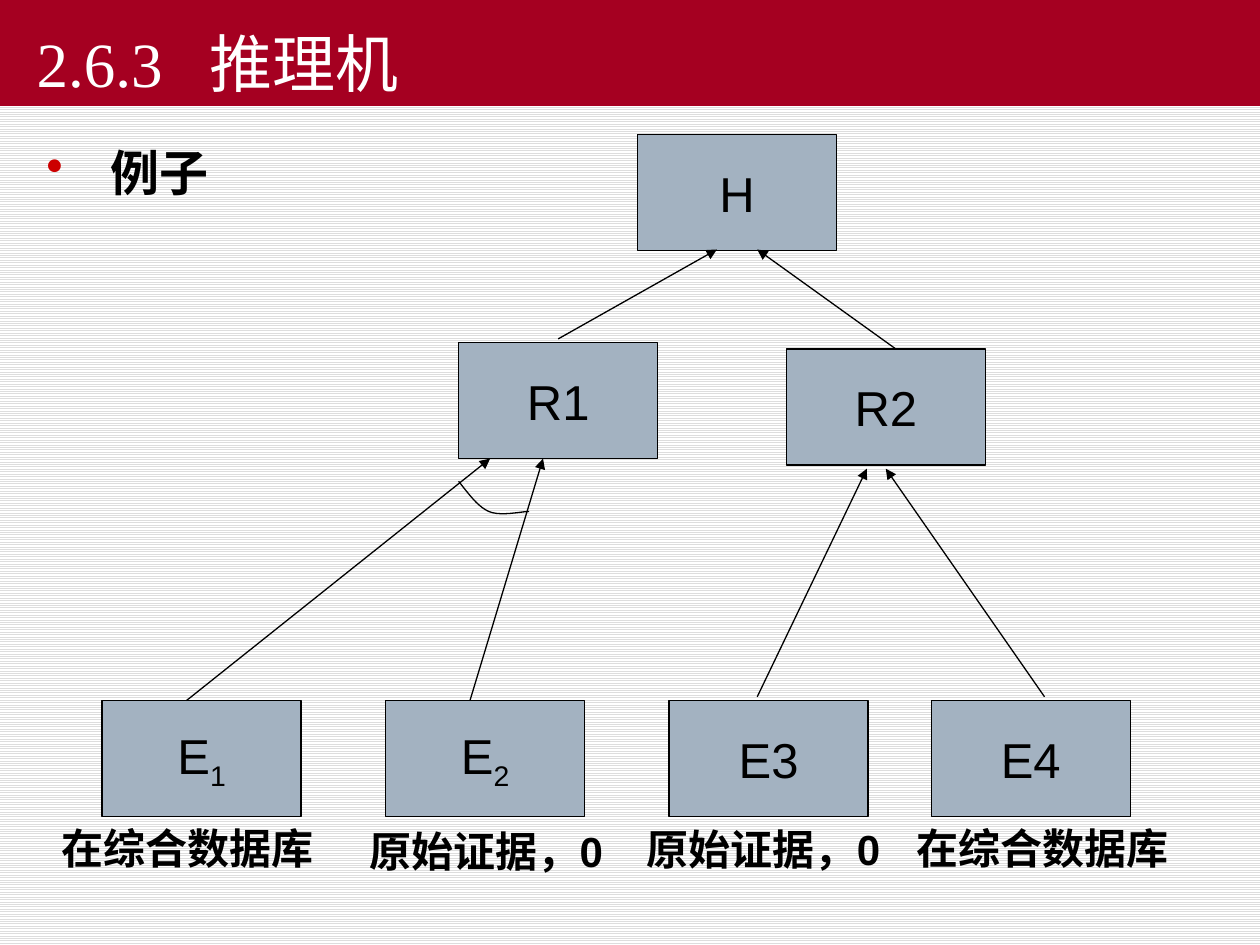
from lxml import etree
from pptx import Presentation
from pptx.dml.color import RGBColor
from pptx.enum.dml import MSO_PATTERN
from pptx.enum.shapes import MSO_CONNECTOR, MSO_SHAPE
from pptx.enum.text import MSO_ANCHOR, PP_ALIGN
from pptx.oxml.ns import qn
from pptx.util import Inches, Pt

RECT = MSO_SHAPE.RECTANGLE
STRAIGHT = MSO_CONNECTOR.STRAIGHT
STRIPES = MSO_PATTERN.LIGHT_HORIZONTAL
LEFT, CENTER = PP_ALIGN.LEFT, PP_ALIGN.CENTER
TOP, MIDDLE, BOTTOM = MSO_ANCHOR.TOP, MSO_ANCHOR.MIDDLE, MSO_ANCHOR.BOTTOM
BLACK = RGBColor(0x00, 0x00, 0x00)
WHITE = RGBColor(0xFF, 0xFF, 0xFF)
GRAY = RGBColor(0xDD, 0xDD, 0xDD)
CRIMSON = RGBColor(0xA5, 0x00, 0x21)
RED = RGBColor(0xCC, 0x00, 0x00)
STEEL = RGBColor(0xA3, 0xB2, 0xC1)

NODE_W, NODE_H = 1.58, 0.92
EVIDENCE_Y = 5.56
NODES = [
    ("H", "", 5.06, 1.07),
    ("R1", "", 3.64, 2.72),
    ("R2", "", 6.24, 2.77),
    ("E", "1", 0.81, EVIDENCE_Y),
    ("E", "2", 3.06, EVIDENCE_Y),
    ("E3", "", 5.31, EVIDENCE_Y),
    ("E4", "", 7.39, EVIDENCE_Y),
]
ARROWS = [
    (4.43, 2.69, 5.69, 1.98),
    (7.11, 2.77, 6.01, 1.98),
    (1.48, 5.56, 3.89, 3.64),
    (3.73, 5.56, 4.31, 3.64),
    (6.01, 5.53, 6.88, 3.72),
    (8.29, 5.53, 7.03, 3.72),
]
CAPTIONS = [
    ("在综合数据库", 0.35, 6.48),
    ("原始证据，0", 2.72, 6.5),
    ("原始证据，0", 4.92, 6.49),
    ("在综合数据库", 7.13, 6.48),
]
AND_ARC = [
    [(3.64, 3.82), (3.72, 3.92), (3.79, 4.02), (3.88, 4.06)],
    [(3.88, 4.06), (3.97, 4.1), (4.14, 4.06), (4.2, 4.06)],
]


def write(s, text, sub="", size=28, font="Arial", color=BLACK, bold=False,
          align=CENTER, anchor=TOP, wrap=True):
    """Write one paragraph with an optional subscript and return it."""
    tf = s.text_frame
    tf.word_wrap = wrap
    tf.vertical_anchor = anchor
    p = tf.paragraphs[0]
    p.alignment = align
    for part in filter(None, (text, sub)):
        r = p.add_run()
        r.text = part
        r.font.size = Pt(size)
        r.font.name = font
        r.font.bold = bold
        r.font.color.rgb = color
    if sub:
        r.font._element.set("baseline", "-25000")
    return p


def add_box(slide, x, y, w, h, fill, line=None):
    """Add a filled rectangle, outlined if a line colour is given."""
    s = slide.shapes.add_shape(RECT, Inches(x), Inches(y), Inches(w), Inches(h))
    s.shadow.inherit = False
    s.fill.solid()
    s.fill.fore_color.rgb = fill
    if line is None:
        s.line.fill.background()
    else:
        s.line.color.rgb = line
        s.line.width = Pt(0.75)
    return s


def add_title(slide, number, name):
    """Add the title band with the section number and name on a tab."""
    s = add_box(slide, 0, 0, 10, 0.84, CRIMSON)
    s.text_frame.margin_left = Inches(0.29)
    p = write(s, f"{number}\t{name}", size=36, font="Times New Roman",
              color=WHITE, align=LEFT, anchor=BOTTOM)
    tabs = etree.SubElement(p._p.get_or_add_pPr(), qn("a:tabLst"))
    etree.SubElement(tabs, qn("a:tab"), pos=str(Inches(1.37)), algn="l")


def add_text(slide, text, x, y, w, h, **fmt):
    """Add a text box and return its paragraph."""
    s = slide.shapes.add_textbox(Inches(x), Inches(y), Inches(w), Inches(h))
    return write(s, text, **fmt)


def add_bullet(p, color, indent):
    """Give a paragraph a coloured round bullet with a hanging indent."""
    pPr = p._p.get_or_add_pPr()
    pPr.set("marL", str(Inches(indent)))
    pPr.set("indent", str(-Inches(indent)))
    clr = etree.SubElement(pPr, qn("a:buClr"))
    etree.SubElement(clr, qn("a:srgbClr"), val=str(color))
    etree.SubElement(pPr, qn("a:buChar"), char="•")


def add_arrow(slide, x1, y1, x2, y2):
    """Add a thin line with a triangle head at its end."""
    s = slide.shapes.add_connector(
        STRAIGHT, Inches(x1), Inches(y1), Inches(x2), Inches(y2))
    s.line.color.rgb = BLACK
    s.line.width = Pt(0.75)
    etree.SubElement(s.line._get_or_add_ln(), qn("a:tailEnd"), type="triangle")
    etree.SubElement(s._element.spPr, qn("a:effectLst"))


def bezier(points, t):
    """Return the point at t on a cubic curve."""
    weights = ((1 - t) ** 3, 3 * t * (1 - t) ** 2, 3 * t * t * (1 - t), t ** 3)
    return tuple(sum(k * v for k, v in zip(weights, axis)) for axis in zip(*points))


def add_curve(slide, curves, steps=10):
    """Add an open outline that follows joined cubic curves."""
    points = [bezier(c, i / steps) for c in curves for i in range(1, steps + 1)]
    x, y = curves[0][0]
    builder = slide.shapes.build_freeform(Inches(x), Inches(y))
    builder.add_line_segments(
        [(Inches(px), Inches(py)) for px, py in points], close=False)
    s = builder.convert_to_shape()
    s.shadow.inherit = False
    s.fill.background()
    s.line.color.rgb = BLACK
    s.line.width = Pt(0.75)


def main():
    """Build the inference tree slide and save it."""
    prs = Presentation()
    prs.slide_width, prs.slide_height = Inches(10), Inches(7.5)
    slide = prs.slides.add_slide(prs.slide_layouts[6])
    bg = slide.background.fill
    bg.patterned()
    bg.pattern = STRIPES
    bg.fore_color.rgb = GRAY
    bg.back_color.rgb = WHITE

    p = add_text(slide, "例子", 0.27, 0.99, 9.45, 5.91, bold=True, align=LEFT)
    p.line_spacing = 1.2
    add_bullet(p, RED, 0.51)
    for text, sub, x, y in NODES:
        s = add_box(slide, x, y, NODE_W, NODE_H, STEEL, BLACK)
        write(s, text, sub, anchor=MIDDLE, wrap=False)
    for ends in ARROWS:
        add_arrow(slide, *ends)
    add_curve(slide, AND_ARC)
    for text, x, y in CAPTIONS:
        add_text(slide, text, x, y, 2.28, 0.5, size=24, bold=True)
    add_title(slide, "2.6.3", "推理机")
    prs.save("out.pptx")


if __name__ == "__main__":
    main()
